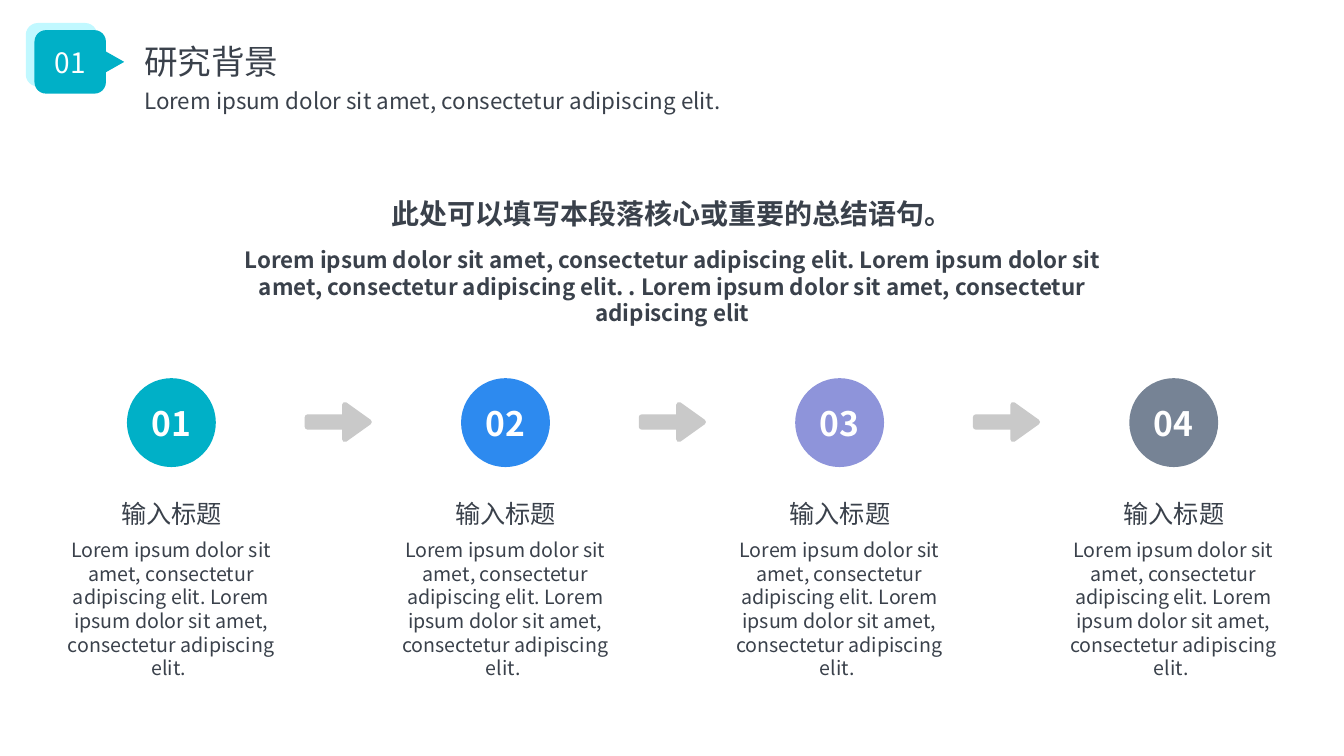
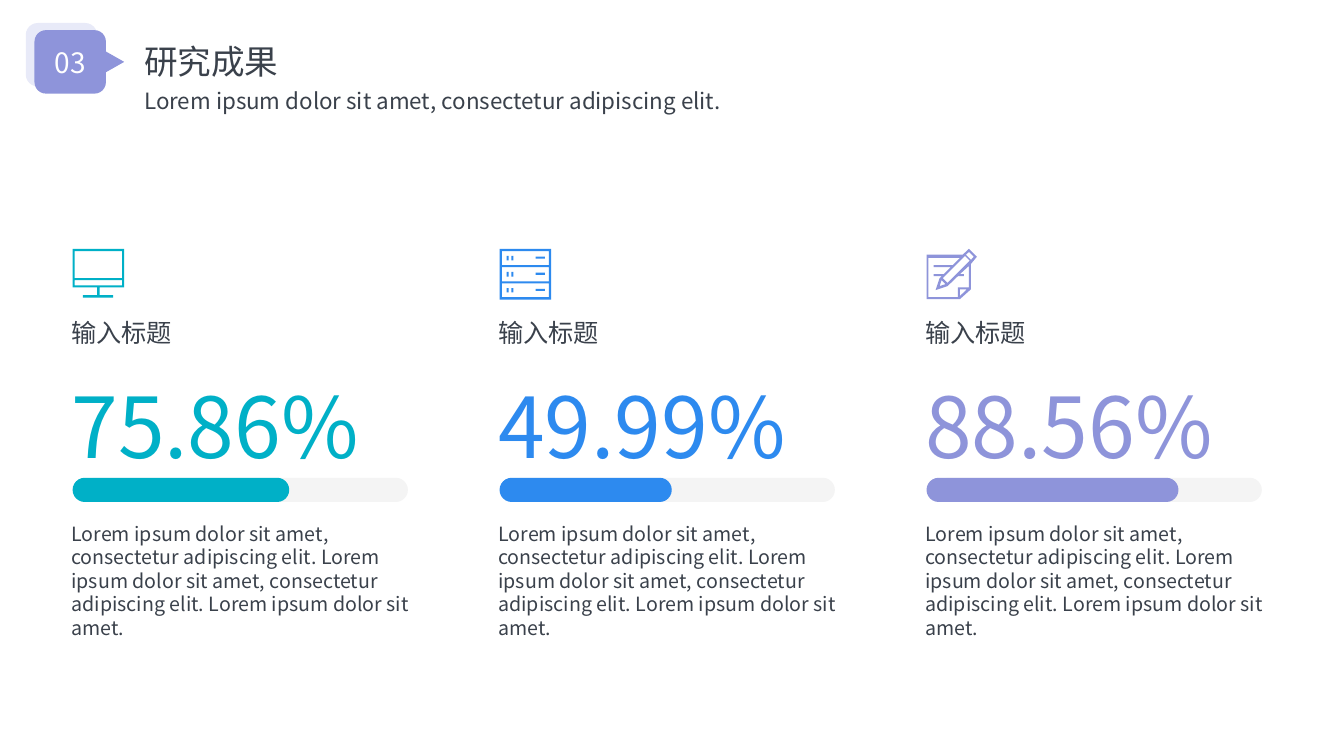
from lxml import etree
from pptx import Presentation
from pptx import util as u
from pptx.dml.color import RGBColor
from pptx.enum import shapes, text
from pptx.oxml.ns import qn

Cm = u.Cm
Kind = shapes.MSO_SHAPE
LEFT, MID = text.PP_ALIGN.LEFT, text.PP_ALIGN.CENTER
TEAL, BLUE, LILAC, SLATE = "00B0C7", "2D8AEF", "8E94DA", "768395"
INK, WHITE, GREY, PALE = "3A414B", "FFFFFF", "C9C9C9", "F4F4F4"
LOREM = "Lorem ipsum dolor sit amet, consectetur adipiscing elit."
HEAD = "输入标题"


def rgb(code):
    return RGBColor.from_string(code)


def rect(x1, y1, x2, y2):
    return [(x1, y1), (x2, y1), (x2, y2), (x1, y2)]


def screen():
    return [
        [(0, 0), (130, 0), (130, 97), (68, 97), (68, 117), (102, 117),
         (102, 123), (26, 123), (26, 117), (62, 117), (62, 97), (0, 97)],
        rect(5, 79, 125, 92),
        rect(5, 6, 125, 74),
    ]


def server():
    rings = [rect(0, 0, 130, 128)]
    for row in range(3):
        y = 6 + 40.5 * row
        rings += [rect(6, y, 124, y + 35), rect(18, y + 12, 23, y + 23),
                  rect(30, y + 12, 35, y + 23), rect(91, y + 14, 114, y + 19)]
    return rings


def pencil():
    return [
        [(127, 20), (107, 0), (91, 15), (0, 15), (0, 127), (84, 127),
         (112, 102), (112, 38)],
        [(53, 86), (41, 74), (97, 18), (109, 30)],
        [(38, 79), (48, 89), (33, 94)],
        [(119, 20), (112, 28), (99, 15), (107, 8)],
        [(84, 119), (84, 102), (102, 102)],
        [(107, 97), (79, 97), (79, 122), (5, 122), (5, 23), (84, 23),
         (66, 41), (18, 41), (18, 46), (61, 46), (43, 64), (18, 64),
         (18, 69), (38, 69), (33, 74), (23, 104), (53, 94), (79, 69),
         (94, 69), (94, 64), (84, 64), (107, 43)],
    ]


class Deck:
    font = "Noto Sans CJK SC"

    def __init__(self):
        self.prs = Presentation()
        self.prs.slide_width, self.prs.slide_height = Cm(33.87), Cm(19.05)
        self.slide = None

    def put(self, frame, words, size, color=INK, bold=False, align=LEFT):
        para = frame.paragraphs[0]
        para.alignment = align
        para.space_before = u.Pt(0)
        run = para.add_run()
        run.text = words
        font = run.font
        font.size, font.bold, font.name = u.Pt(size), bold, self.font
        font.color.rgb = rgb(color)
        etree.SubElement(run._r.get_or_add_rPr(), qn("a:ea"), typeface=self.font)

    def label(self, x, y, w, h, words, size, **style):
        box = self.slide.shapes.add_textbox(Cm(x), Cm(y), Cm(w), Cm(h))
        box.text_frame.word_wrap = True
        self.put(box.text_frame, words, size, **style)

    def hold(self, index, x, y, w, h, words, size):
        """Move and fill a template placeholder."""
        box = self.slide.placeholders[index]
        box.left, box.top, box.width, box.height = Cm(x), Cm(y), Cm(w), Cm(h)
        frame = box.text_frame
        frame.vertical_anchor = text.MSO_ANCHOR.TOP
        frame.auto_size = text.MSO_AUTO_SIZE.NONE
        if index:
            props = frame.paragraphs[0]._p.get_or_add_pPr()
            props.set("marL", "0")
            props.set("indent", "0")
            etree.SubElement(props, qn("a:buNone"))
        self.put(frame, words, size)

    def paint(self, shape, color):
        shape.shadow.inherit = False
        shape.fill.solid()
        shape.fill.fore_color.rgb = rgb(color)
        shape.line.fill.background()

    def form(self, kind, x, y, w, h, color, adj=()):
        shape = self.slide.shapes.add_shape(kind, Cm(x), Cm(y), Cm(w), Cm(h))
        self.paint(shape, color)
        for i, value in enumerate(adj):
            shape.adjustments[i] = value
        return shape

    def mark(self, shape, words, size, bold=False):
        """Centre white text in a shape."""
        shape.text_frame.vertical_anchor = text.MSO_ANCHOR.MIDDLE
        self.put(shape.text_frame, words, size, WHITE, bold, MID)

    def arrow(self, x, y):
        """Draw a block arrow whose thick outline rounds its corners."""
        shape = self.form(Kind.RIGHT_ARROW, x, y, 1.55, 0.87, GREY, (0.28, 0.7))
        shape.line.color.rgb = rgb(GREY)
        shape.line.width = u.Pt(4)

    def icon(self, x, y, rings, color):
        """Draw closed rings, in hundredths of a cm, as one outline."""
        first, *rest = rings
        pen = self.slide.shapes.build_freeform(*first[0], scale=Cm(0.01))
        pen.add_line_segments(first[1:], close=True)
        for ring in rest:
            pen.move_to(*ring[0])
            pen.add_line_segments(ring[1:], close=True)
        self.paint(pen.convert_to_shape(Cm(x), Cm(y)), color)

    def page(self, num, title, color, tint):
        self.slide = self.prs.slides.add_slide(self.prs.slide_layouts[1])
        self.form(Kind.ISOSCELES_TRIANGLE, 2.17, 1.11, 1.02, 0.9, color).rotation = 90
        self.form(Kind.ROUNDED_RECTANGLE, 0.65, 0.58, 1.8, 1.6, tint, [0.19])
        badge = self.form(Kind.ROUNDED_RECTANGLE, 0.87, 0.76, 1.8, 1.6, color, [0.18])
        self.mark(badge, num, 20)
        self.hold(0, 3.38, 0.91, 10, 1.28, title, 24)
        self.hold(1, 3.38, 2.06, 16, 0.94, LOREM, 16)

    def step(self, x, num, color):
        """Draw one numbered step centred on x."""
        disc = self.form(Kind.OVAL, x - 1.12, 9.53, 2.24, 2.24, color)
        self.mark(disc, num, 24, True)
        self.label(x - 3.32, 13.44, 6.63, 2.64, f"{LOREM} {LOREM} ", 14, align=MID)
        self.label(x - 2.18, 12.42, 4.37, 1.02, HEAD, 18, align=MID)

    def gauge(self, x, rings, value, done, color):
        """Draw one result column; done is the length of its bar."""
        self.icon(x, 6.27, rings, color)
        side = x - 0.28
        self.label(side, 7.86, 4.37, 1.02, HEAD, 18)
        self.label(side, 13.02, 9.25, 2.64,
                   f"{LOREM} {LOREM} Lorem ipsum dolor sit amet.", 14)
        self.label(side, 9.31, 9.25, 2.82, value, 60, color=color)
        for start, width, fill in ((x + 0.25, 8.2, PALE), (x, done, color)):
            self.form(Kind.ROUNDED_RECTANGLE, start, 12.04, width, 0.61, fill, [0.5])


def main():
    deck = Deck()

    deck.page("01", "研究背景", TEAL, "C1F8FF")
    deck.label(9.4, 4.83, 15.09, 1.12, "此处可以填写本段落核心或重要的总结语句。", 20,
               bold=True, align=MID)
    deck.label(5.59, 6.07, 22.71, 1.63, f"{LOREM} {LOREM} . {LOREM[:-1]}", 16,
               bold=True, align=MID)
    for i, color in enumerate((TEAL, BLUE, LILAC, SLATE)):
        x = 4.32 + 8.42 * i
        deck.step(x, f"{i + 1:02}", color)
        if i < 3:
            deck.arrow(x + 3.43, 10.2)

    deck.page("03", "研究成果", LILAC, "E8EAF8")
    cols = ((screen(), "75.86%", 5.46, TEAL),
            (server(), "49.99%", 4.34, BLUE),
            (pencil(), "88.56%", 6.35, LILAC))
    for i, col in enumerate(cols):
        deck.gauge(1.83 + 10.76 * i, *col)

    deck.prs.save("out.pptx")


if __name__ == "__main__":
    main()
